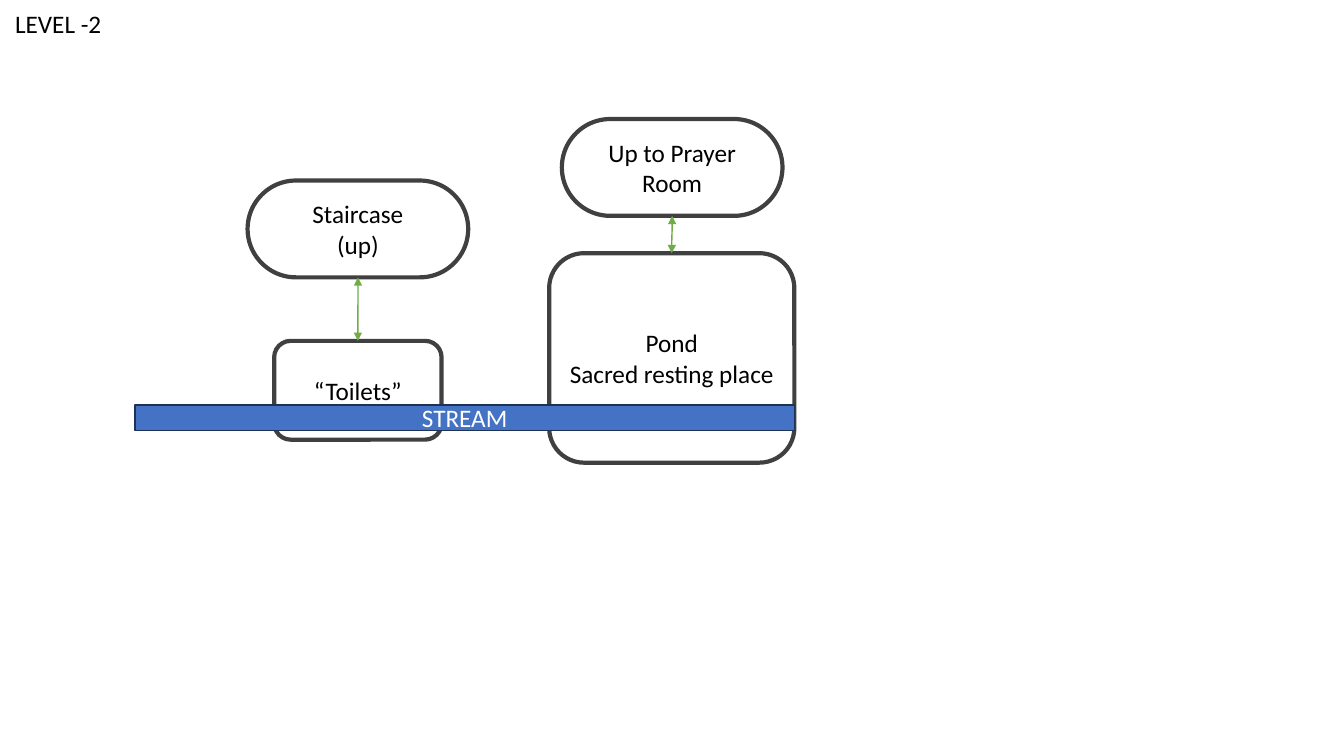
from lxml.etree import SubElement
from pptx import Presentation
from pptx.dml.color import RGBColor
from pptx.enum.shapes import MSO_CONNECTOR, MSO_SHAPE
from pptx.enum.text import MSO_ANCHOR, PP_ALIGN
from pptx.oxml.ns import qn
from pptx.util import Cm, Pt

COLOURS = {
    "text": "000000",
    "outline": "404040",
    "stream": "4472C4",
    "stream_edge": "1E3256",
    "stream_text": "FFFFFF",
    "passage": "70AD47",
}
FONT = "Calibri"
TOP, BOTTOM = 0, 2


def colour(name):
    return RGBColor.from_string(COLOURS[name])


def write(shape, paragraphs, text_colour="text", align=PP_ALIGN.CENTER):
    """Fill a shape with paragraphs, each given as a list of lines."""
    frame = shape.text_frame
    for index, lines in enumerate(paragraphs):
        paragraph = frame.paragraphs[0] if index == 0 else frame.add_paragraph()
        paragraph.alignment = align
        for number, line in enumerate(lines):
            if number:
                paragraph.add_line_break()
            run = paragraph.add_run()
            run.text = line
            run.font.name = FONT
            run.font.size = Pt(18)
            run.font.color.rgb = colour(text_colour)


def add_box(slide, kind, box, edge, edge_width):
    shape = slide.shapes.add_shape(kind, *map(Cm, box))
    shape.shadow.inherit = False
    shape.fill.background()
    shape.line.color.rgb = colour(edge)
    shape.line.width = Pt(edge_width)
    shape.text_frame.word_wrap = True
    shape.text_frame.vertical_anchor = MSO_ANCHOR.MIDDLE
    return shape


def add_room(slide, box, paragraphs, rounding=0.16667):
    room = add_box(slide, MSO_SHAPE.ROUNDED_RECTANGLE, box, "outline", 3)
    room.adjustments[0] = rounding
    write(room, paragraphs)
    return room


def add_stairs(slide, box, paragraphs):
    return add_room(slide, box, paragraphs, rounding=0.5)


def add_stream(slide, box):
    stream = add_box(slide, MSO_SHAPE.RECTANGLE, box, "stream_edge", 1)
    stream.fill.solid()
    stream.fill.fore_color.rgb = colour("stream")
    write(stream, [["STREAM"]], "stream_text")


def add_level_title(slide, box, title):
    label = slide.shapes.add_textbox(*map(Cm, box))
    label.text_frame.word_wrap = False
    write(label, [[title]], align=PP_ALIGN.LEFT)


def add_passage(slide, room, stairs):
    """Join a room's top to the stairs above with a two-headed curve."""
    start_x, end_x = (shape.left + shape.width // 2 for shape in (room, stairs))
    start_y, end_y = room.top, stairs.top + stairs.height
    passage = slide.shapes.add_connector(
        MSO_CONNECTOR.CURVE, start_x, start_y, end_x, end_y)
    passage.begin_connect(room, TOP)
    passage.end_connect(stairs, BOTTOM)
    # The curve runs left to right, so it is laid flat and turned upwards.
    passage.width, passage.height = start_y - end_y, abs(end_x - start_x)
    passage.left = (start_x + end_x - passage.width) // 2
    passage.top = (start_y + end_y - passage.height) // 2
    properties = passage._element.spPr
    transform = properties.find(qn("a:xfrm"))
    transform.set("rot", str(270 * 60000))
    for flip in ("flipH", "flipV"):
        transform.attrib.pop(flip, None)

    passage.line.color.rgb = colour("passage")
    passage.line.width = Pt(1)
    line = properties.find(qn("a:ln"))
    for end in ("a:headEnd", "a:tailEnd"):
        SubElement(line, qn(end), type="triangle")
    SubElement(properties, qn("a:effectLst"))


def build_level(slide):
    pond = add_room(slide, (13.84, 6.38, 6.18, 5.28),
                    [["Pond"], ["Sacred resting place"]])
    toilets = add_room(slide, (6.91, 8.59, 4.22, 2.49), [["“Toilets”"]])
    add_level_title(slide, (0.13, 0.08, 2.72, 1.02), "LEVEL -2")
    add_stream(slide, (3.4, 10.21, 16.62, 0.64))
    staircase = add_stairs(slide, (6.24, 4.55, 5.56, 2.44),
                           [["Staircase", "(up)"]])
    add_passage(slide, toilets, staircase)
    prayer_stairs = add_stairs(slide, (14.16, 3, 5.56, 2.44),
                               [["Up to Prayer Room"]])
    add_passage(slide, pond, prayer_stairs)


def main():
    presentation = Presentation()
    presentation.slide_width = Cm(33.87)
    presentation.slide_height = Cm(19.05)
    build_level(presentation.slides.add_slide(presentation.slide_layouts[6]))
    presentation.save("out.pptx")


if __name__ == "__main__":
    main()
